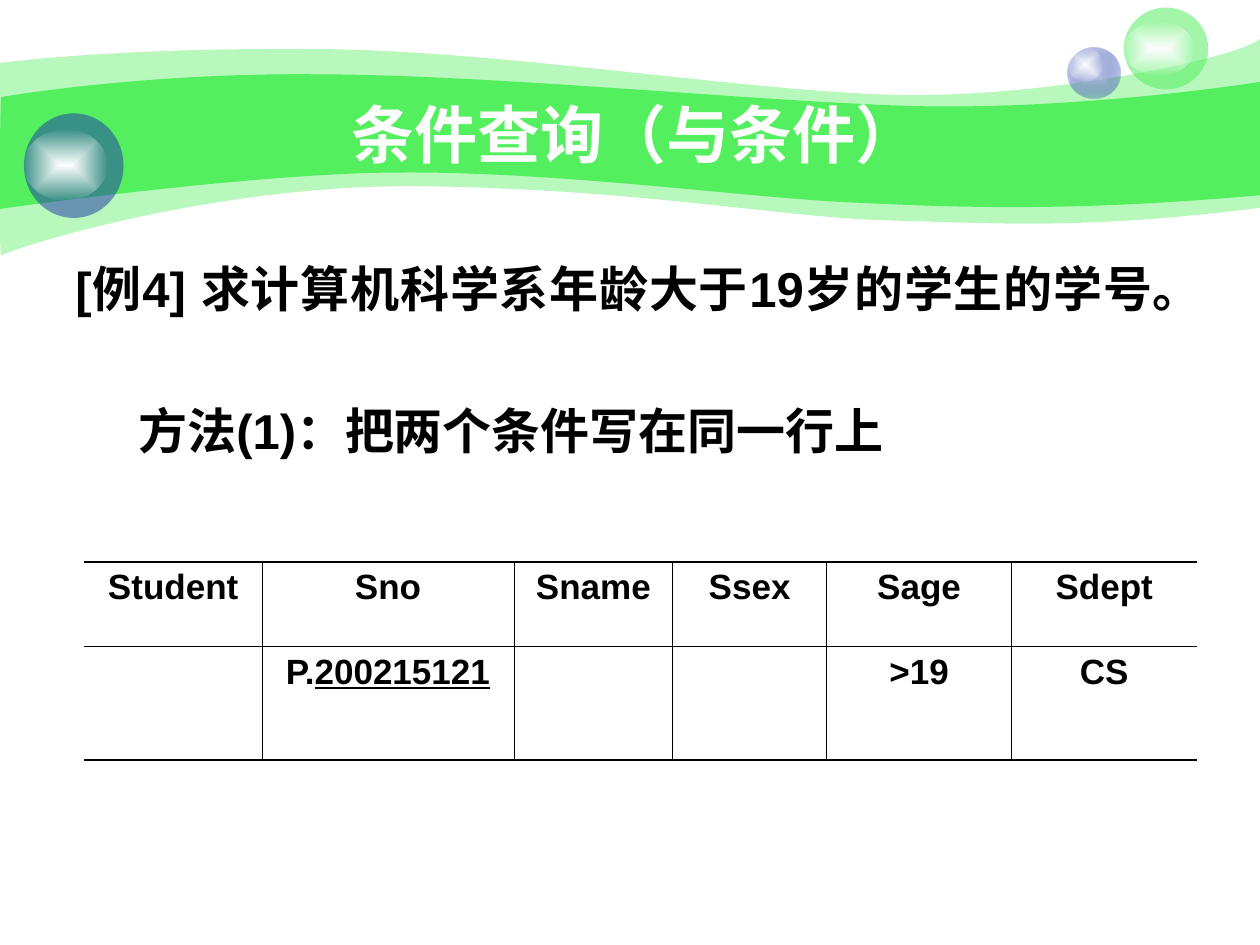
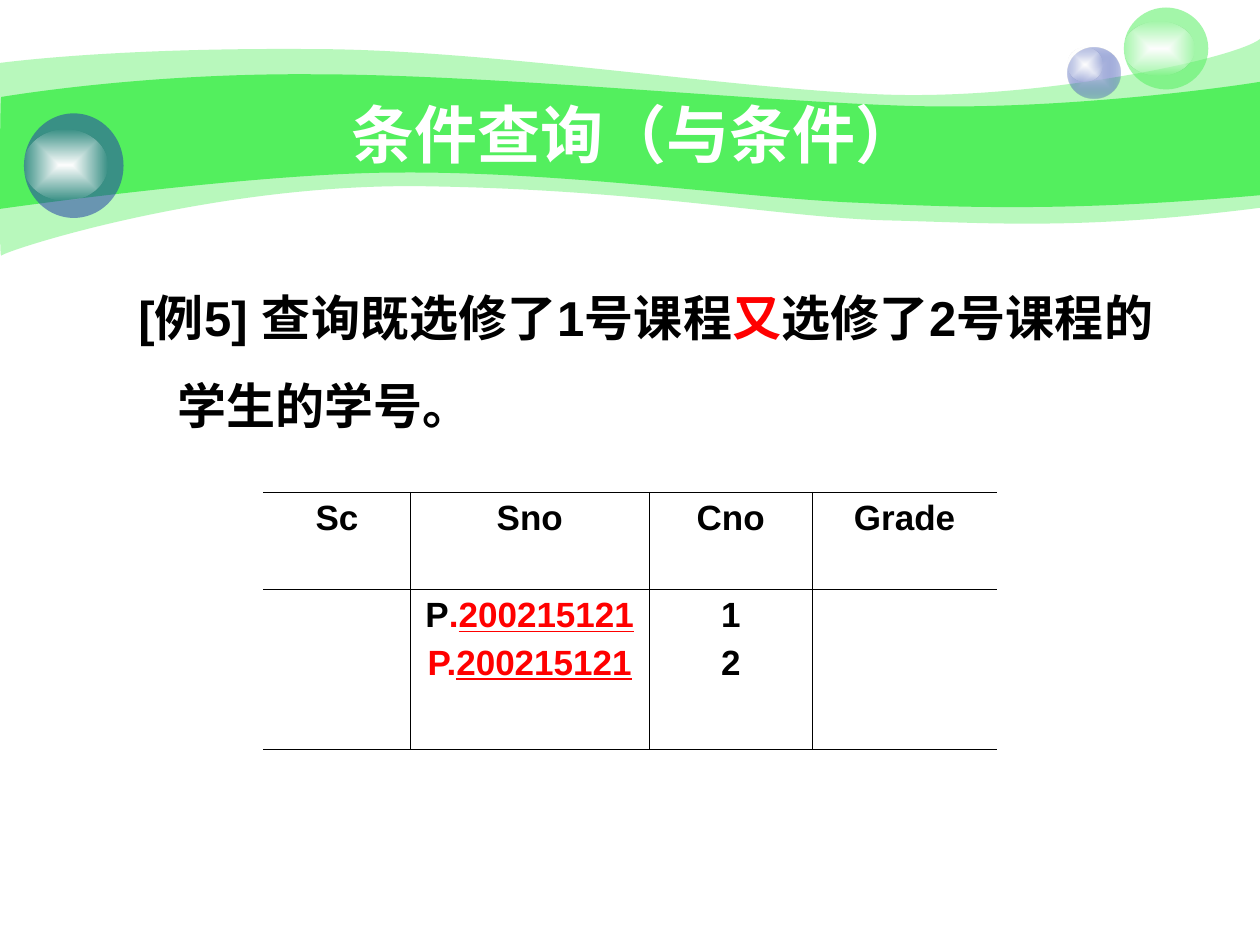
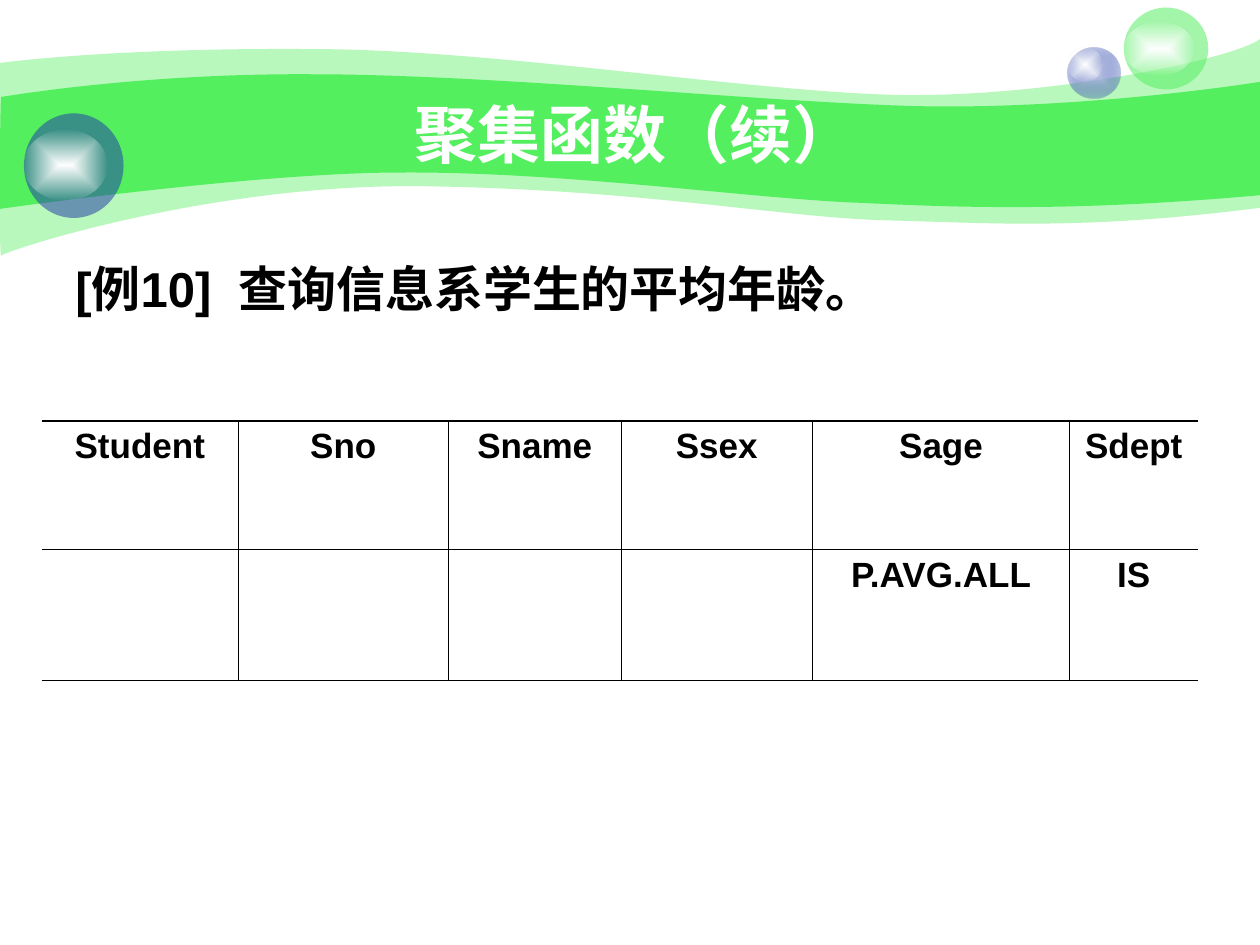
from dataclasses import dataclass

from pptx import Presentation
from pptx.dml.color import RGBColor
from pptx.enum.lang import MSO_LANGUAGE_ID
from pptx.enum.shapes import MSO_SHAPE
from pptx.enum.text import MSO_ANCHOR, PP_ALIGN
from pptx.oxml import parse_xml
from pptx.oxml.ns import nsdecls, qn
from pptx.util import Inches, Pt


@dataclass(frozen=True)
class Theme:
    font: str = "Arial"
    white: str = "FFFFFF"
    black: str = "000000"
    red: str = "FF0000"
    green: str = "53EF5E"
    blue: str = "233DA9"
    pale_blue: str = "C7CEE9"
    title_size: float = 36
    body_size: float = 28
    table_size: float = 20
    body_gap: float = 48
    table_gap: float = 5
    thick_rule: float = 1.08
    thin_rule: float = 0.45


THEME = Theme()

# Wave outlines: a start point, then curves (three points) and lines (one point)
PALE_WAVE = (0, 0.5), [
    [(0.24, 0.47), (1.07, 0.38), (2.47, 0.39)],
    [(3.86, 0.39), (5.75, 0.7), (6.99, 0.75)],
    [(8.22, 0.8), (9.8, 0.47), (10, 0.31)],
    [(10, 1.65)],
    [(8.58, 1.83), (7.87, 1.77), (7.05, 1.75)],
    [(6.22, 1.73), (5.15, 1.51), (3.43, 1.48)],
    [(1.72, 1.44), (0.04, 1.99), (0.01, 2.03)],
    [(-0.01, 2.08), (0, 0.75), (0, 0.5)],
]
GREEN_WAVE = (0.01, 0.77), [
    [(0.02, 0.77), (1.1, 0.58), (2.48, 0.59)],
    [(3.86, 0.59), (5.95, 0.8), (7.18, 0.84)],
    [(8.41, 0.88), (9.76, 0.69), (10, 0.65)],
    [(10, 1.55)],
    [(8.53, 1.68), (7.65, 1.65), (6.82, 1.61)],
    [(5.99, 1.58), (4.47, 1.36), (3.17, 1.37)],
    [(2.03, 1.37), (-0.02, 1.66), (-0.01, 1.66)],
    [(0, 1.66), (0, 0.77), (0.01, 0.77)],
]

# Bubbles: box of the ball, its colour stops (colour, opacity), box of its shine
BUBBLES = [
    ((8.47, 0.38, 0.42, 0.4), [(THEME.pale_blue, 100), (THEME.blue, 31)],
     (8.47, 0.38, 0.28, 0.27)),
    ((8.92, 0.06, 0.67, 0.65), [(THEME.green, 53)], (8.92, 0.17, 0.56, 0.43)),
    ((0.19, 0.9, 0.79, 0.83), [(THEME.blue, 53)], (0.19, 1.03, 0.66, 0.56)),
]
SHINE = [(THEME.white, 100), (THEME.white, 0)]


def add_span(para, text, size=THEME.body_size, color=THEME.black, underline=False):
    """Append bold text to a paragraph."""
    span = para.add_run()
    span.text = text
    font = span.font
    font.name, font.size, font.bold = THEME.font, Pt(size), True
    font.color.rgb = RGBColor.from_string(color)
    font.underline = underline
    font.language_id = MSO_LANGUAGE_ID.SIMPLIFIED_CHINESE


def color_xml(color, opacity):
    alpha = f'<a:alpha val="{opacity * 1000}"/>' if opacity < 100 else ""
    return f'<a:srgbClr val="{color}">{alpha}</a:srgbClr>'


def bend(shape, segments):
    """Turn each three straight lines that hold a curve's points into that curve."""
    lines = iter(list(shape._element.iter(qn("a:lnTo"))))
    for segment in segments:
        members = [next(lines) for _ in segment]
        if len(members) == 3:
            curve = parse_xml(f'<a:cubicBezTo {nsdecls("a")}/>')
            members[0].addprevious(curve)
            for line in members:
                curve.append(line[0])
                line.getparent().remove(line)


class SlideWriter:
    def __init__(self, deck, theme):
        self.deck, self.theme = deck, theme
        self.page = None

    def new_page(self, title):
        self.page = self.deck.slides.add_slide(self.deck.slide_layouts[6])
        self.wave(PALE_WAVE, 41)
        self.wave(GREEN_WAVE, 100)
        for ball, stops, shine in BUBBLES:
            self.bubble(ball, stops)
            self.bubble(shine, SHINE)
        frame = self.text_frame(1, 0.75, 8.08, 0.62)
        frame.vertical_anchor = MSO_ANCHOR.MIDDLE
        para = frame.paragraphs[0]
        para.alignment = PP_ALIGN.CENTER
        add_span(para, title, size=self.theme.title_size, color=self.theme.white)

    def paint(self, shape, stops):
        """Fill with one colour, or with a gradient from the middle outwards."""
        shape.shadow.inherit = False
        shape.line.fill.background()
        shape.fill.background()
        if len(stops) == 1:
            fill = f'<a:solidFill {nsdecls("a")}>{color_xml(*stops[0])}</a:solidFill>'
        else:
            marks = "".join(f'<a:gs pos="{place}">{color_xml(*stop)}</a:gs>'
                            for place, stop in zip((0, 100000), stops))
            fill = (f'<a:gradFill {nsdecls("a")} rotWithShape="1"><a:gsLst>{marks}</a:gsLst>'
                    '<a:path path="rect"><a:fillToRect l="50000" t="50000" r="50000" b="50000"/>'
                    '</a:path></a:gradFill>')
        properties = shape._element.spPr
        properties.replace(properties.find(qn("a:noFill")), parse_xml(fill))

    def wave(self, outline, opacity):
        start, segments = outline
        points = [start] + [point for segment in segments for point in segment]
        corners = [(Inches(x), Inches(y)) for x, y in points]
        builder = self.page.shapes.build_freeform(*corners[0])
        builder.add_line_segments(corners[1:], close=True)
        shape = builder.convert_to_shape()
        bend(shape, segments)
        self.paint(shape, [(self.theme.green, opacity)])

    def bubble(self, box, stops):
        self.paint(self.page.shapes.add_shape(MSO_SHAPE.OVAL, *map(Inches, box)), stops)

    def text_frame(self, *box):
        frame = self.page.shapes.add_textbox(*map(Inches, box)).text_frame
        frame.word_wrap = True
        return frame

    def body(self, height, paragraphs, left=0.38, hanging=0.38, spacing=None):
        """Justified text; the first paragraph takes the given indent, the rest the deeper one."""
        frame = self.text_frame(0.5, 2, 8.75, height)
        for index, spans in enumerate(paragraphs):
            para = frame.add_paragraph() if index else frame.paragraphs[0]
            para.alignment = PP_ALIGN.JUSTIFY
            margin, hang = (0.81, 0.31) if index else (left, hanging)
            properties = para._p.get_or_add_pPr()
            properties.set("marL", str(Inches(margin)))
            properties.set("indent", str(-Inches(hang)))
            if spacing:
                para.line_spacing = spacing
            if index:
                para.space_before = Pt(self.theme.body_gap)
            for text, look in spans:
                add_span(para, text, **look)

    def table(self, left, top, columns, heights, rows):
        box = map(Inches, (left, top, sum(columns), sum(heights)))
        table = self.page.shapes.add_table(len(rows), len(columns), *box).table
        table.first_row = table.horz_banding = False
        for column, width in zip(table.columns, columns):
            column.width = Inches(width)
        for row, height in zip(table.rows, heights):
            row.height = Inches(height)
        thick, thin = self.theme.thick_rule, self.theme.thin_rule
        for r, row in enumerate(rows):
            for c, content in enumerate(row):
                cell = table.cell(r, c)
                self.borders(cell, {
                    "L": thin if c else 0,
                    "R": thin if c < len(columns) - 1 else 0,
                    "T": thin if r else thick,
                    "B": thin if r < len(rows) - 1 else thick,
                })
                cell.fill.background()
                self.fill_cell(cell, content)

    def borders(self, cell, widths):
        properties = cell._tc.get_or_add_tcPr()
        for side, width in widths.items():
            paint = (f'<a:solidFill>{color_xml(self.theme.black, 100)}</a:solidFill>'
                     if width else "<a:noFill/>")
            properties.append(parse_xml(
                f'<a:ln{side} {nsdecls("a")} w="{Pt(width)}">{paint}</a:ln{side}>'))

    def fill_cell(self, cell, content):
        """Content is a string, or a list of paragraphs made of spans."""
        if not content:
            return
        paragraphs = [[(content, {})]] if isinstance(content, str) else content
        for index, spans in enumerate(paragraphs):
            para = cell.text_frame.add_paragraph() if index else cell.text_frame.paragraphs[0]
            para.alignment = PP_ALIGN.CENTER
            if index:
                para.space_before = Pt(self.theme.table_gap)
            for text, look in spans:
                add_span(para, text, size=self.theme.table_size, **look)


def main():
    deck = Presentation()
    deck.slide_width, deck.slide_height = Inches(10), Inches(7.5)
    writer = SlideWriter(deck, THEME)
    student_header = ["Student", "Sno", "Sname", "Ssex", "Sage", "Sdept"]
    number = "200215121"
    red = {"color": THEME.red}
    red_underlined = {"color": THEME.red, "underline": True}

    # Two conditions in one row
    writer.new_page("条件查询（与条件）")
    writer.body(2.14, [[("[例4] 求计算机科学系年龄大于19岁的学生的学号。", {})],
                       [("方法(1)：把两个条件写在同一行上", {})]])
    writer.table(0.67, 4.46, [1.41, 2, 1.26, 1.22, 1.47, 1.47], [0.67, 0.9], [
        student_header,
        ["", [[("P.", {}), (number, {"underline": True})]], "", "", ">19", "CS"],
    ])

    # Two conditions on the same column
    writer.new_page("条件查询（与条件）")
    writer.body(1.83, [[("[例5] 查询既选修了1号课程", {}), ("又", red),
                        ("选修了2号课程的学生的学号。", {})]],
                left=0.81, hanging=0.31, spacing=1.5)
    writer.table(2.09, 3.91, [1.17, 1.89, 1.3, 1.46], [0.77, 1.27], [
        ["Sc", "Sno", "Cno", "Grade"],
        ["",
         [[("P", {}), (".", red), (number, red_underlined)],
          [("P.", red), (number, red_underlined)]],
         [[("1", {})], [("2", {})]],
         ""],
    ])

    # Aggregate function
    writer.new_page("聚集函数（续）")
    writer.body(4.92, [[("[例10]  查询信息系学生的平均年龄。", {})]])
    writer.table(0.33, 3.34, [1.56, 1.67, 1.37, 1.52, 2.04, 1.02], [1.02, 1.04], [
        student_header,
        ["", "", "", "", "P.AVG.ALL", "IS"],
    ])

    deck.save("out.pptx")


if __name__ == "__main__":
    main()
